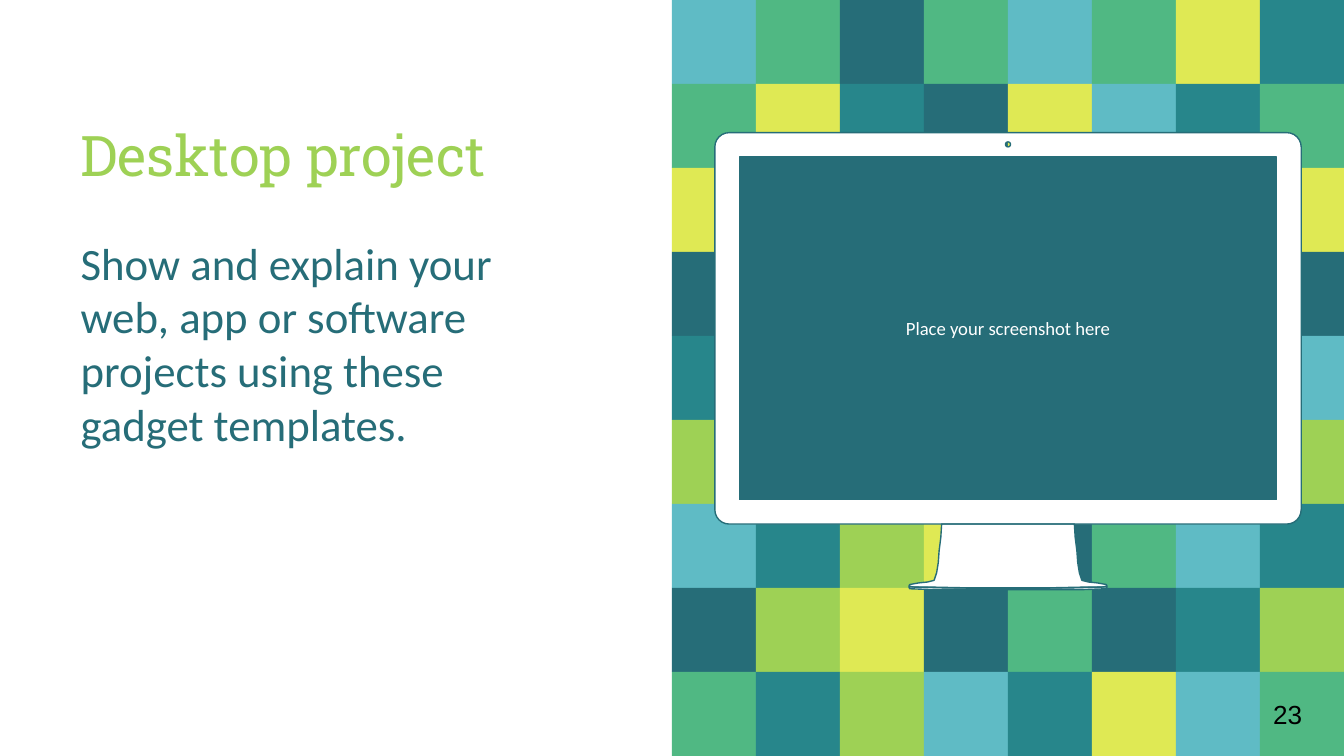
"""Builds a slide with a desktop monitor on a mosaic of coloured tiles."""
from dataclasses import dataclass
from math import cos, pi, sin

from lxml.etree import SubElement
from pptx import Presentation
from pptx.dml.color import RGBColor
from pptx.enum.shapes import MSO_SHAPE as Preset
from pptx.enum.text import MSO_ANCHOR as Anchor
from pptx.enum.text import MSO_AUTO_SIZE as AutoSize
from pptx.enum.text import PP_ALIGN as Align
from pptx.oxml.ns import qn
from pptx.shapes.autoshape import Shape
from pptx.slide import Slide
from pptx.util import Emu, Inches, Pt

Point = tuple[float, float]
COLUMNS, ROWS = 16, 9
CELL = Inches(10) // COLUMNS


@dataclass(frozen=True)
class Theme:
    lime: str = "9ED155"
    dark: str = "266D78"
    yellow: str = "DFE954"
    green: str = "50B883"
    teal: str = "27868B"
    sky: str = "5FBBC5"
    white: str = "FFFFFF"
    black: str = "000000"
    heading: str = "Roboto Slab"
    text: str = "Calibri"
    numeral: str = "Arial"
    title_size: float = 30
    body_size: float = 24
    number_size: float = 14
    caption_size: float = 10
    outline: float = 0.75


@dataclass(frozen=True)
class Area:
    column: float
    row: float
    columns: float = 1
    rows: float = 1

    def box(self) -> tuple[Emu, ...]:
        return tuple(cells(n) for n in (self.column, self.row, self.columns, self.rows))


@dataclass(frozen=True)
class Lettering:
    font: str
    size: float
    color: str
    align: Align = Align.LEFT
    anchor: Anchor = Anchor.TOP


THEME = Theme()
MOSAIC_COLUMN = 8
MOSAIC = (
    "SGDGSGYT",
    "GYTDYSTG",
    "Y......Y",
    "D......D",
    "T......S",
    "LSDLTLGL",
    "STLYDGST",
    "DLYDGDTL",
    "GTLSTYSG",
)
TILE_COLORS = {"L": THEME.lime, "D": THEME.dark, "Y": THEME.yellow,
               "G": THEME.green, "T": THEME.teal, "S": THEME.sky}

TITLE_AREA = Area(0.8, 0.9, 6.2, 1.5)
BODY_AREA = Area(0.8, 2.64, 6.2, 5.71)
SCREEN = Area(8.8, 1.87, 6.4, 4.08)
NUMBER_AREA = Area(15, 8)

MONITOR_AXIS = 12
CASE = Area(8.51, 1.58, 6.98, 4.66)
CORNER_RADIUS = 0.17
CAMERA_ROW, CAMERA_RADIUS = 1.72, 0.03
STAND_EDGE = ((0.79, 6.24), (0.8, 6.4), (0.82, 6.56), (0.83, 6.7), (0.85, 6.82),
              (0.88, 6.91), (0.96, 6.93), (1.06, 6.94), (1.17, 6.96),
              (1.18, 6.98), (1.12, 6.99), (0.75, 7))
FOOT_EDGE = ((0.45, 7), (0.94, 6.99), (1.18, 6.99), (1.17, 7.01), (0.9, 7.02), (0.43, 7.02))


def cells(count: float) -> Emu:
    return Emu(round(count * CELL))


def rgb(color: str) -> RGBColor:
    return RGBColor.from_string(color)


def arc(center: Point, radius: float, start: float, sweep: float, steps: int) -> list[Point]:
    angles = (start + sweep * step / steps for step in range(steps + 1))
    return [(center[0] + radius * cos(a), center[1] + radius * sin(a)) for a in angles]


def rounded(area: Area, radius: float) -> list[Point]:
    left, right = area.column + radius, area.column + area.columns - radius
    top, bottom = area.row + radius, area.row + area.rows - radius
    corners = ((right, bottom), (left, bottom), (left, top), (right, top))
    return [point for turn, corner in enumerate(corners)
            for point in arc(corner, radius, turn * pi / 2, pi / 2, 6)]


def mirrored(edge: tuple[Point, ...]) -> list[Point]:
    right = [(MONITOR_AXIS + offset, row) for offset, row in edge]
    left = [(MONITOR_AXIS - offset, row) for offset, row in reversed(edge)]
    return right + left


def write(shape: Shape, wording: str, style: Lettering) -> None:
    frame = shape.text_frame
    frame.text = wording
    frame.word_wrap = True
    frame.auto_size = AutoSize.NONE
    frame.vertical_anchor = style.anchor
    frame.margin_left = frame.margin_right = Inches(0.1)
    frame.margin_top = frame.margin_bottom = Inches(0.1)
    paragraph = frame.paragraphs[0]
    paragraph.alignment = style.align
    paragraph.space_before = Pt(0)
    paragraph.font.name = style.font
    paragraph.font.size = Pt(style.size)
    paragraph.font.color.rgb = rgb(style.color)


def fill_placeholder(shape: Shape, area: Area, wording: str, style: Lettering) -> None:
    shape.left, shape.top, shape.width, shape.height = area.box()
    write(shape, wording, style)
    properties = shape.text_frame.paragraphs[0]._p.get_or_add_pPr()
    properties.set("marL", "0")
    properties.set("indent", "0")
    SubElement(properties, qn("a:buNone"))


def add_block(slide: Slide, area: Area, color: str) -> Shape:
    block = slide.shapes.add_shape(Preset.RECTANGLE, *area.box())
    block.shadow.inherit = False
    block.fill.solid()
    block.fill.fore_color.rgb = rgb(color)
    block.line.fill.background()
    return block


def add_mosaic(slide: Slide) -> None:
    for row, tiles in enumerate(MOSAIC):
        for column, tile in enumerate(tiles, MOSAIC_COLUMN):
            if tile in TILE_COLORS:
                add_block(slide, Area(column, row), TILE_COLORS[tile])


def add_monitor(slide: Slide) -> None:
    contours = (
        rounded(CASE, CORNER_RADIUS),
        rounded(SCREEN, 0),
        arc((MONITOR_AXIS, CAMERA_ROW), CAMERA_RADIUS, 0, 2 * pi, 16),
        mirrored(STAND_EDGE),
        mirrored(FOOT_EDGE),
    )
    outlines = [[(cells(x), cells(y)) for x, y in contour] for contour in contours]
    builder = slide.shapes.build_freeform(*outlines[0][0])
    for index, (start, *others) in enumerate(outlines):
        if index:
            builder.move_to(*start)
        builder.add_line_segments(others, close=True)
    monitor = builder.convert_to_shape()
    monitor.shadow.inherit = False
    monitor.fill.solid()
    monitor.fill.fore_color.rgb = rgb(THEME.white)
    monitor.line.color.rgb = rgb(THEME.dark)
    monitor.line.width = Pt(THEME.outline)


def main() -> None:
    deck = Presentation()
    deck.slide_width, deck.slide_height = cells(COLUMNS), cells(ROWS)
    slide = deck.slides.add_slide(deck.slide_layouts[1])
    title, body = slide.placeholders
    add_mosaic(slide)
    add_monitor(slide)
    fill_placeholder(title, TITLE_AREA, "Desktop project",
                     Lettering(THEME.heading, THEME.title_size, THEME.lime, anchor=Anchor.BOTTOM))
    fill_placeholder(body, BODY_AREA,
                     "Show and explain your web, app or software projects using these gadget templates.",
                     Lettering(THEME.text, THEME.body_size, THEME.dark))
    write(add_block(slide, SCREEN, THEME.dark), "Place your screenshot here",
          Lettering(THEME.text, THEME.caption_size, THEME.white, Align.CENTER, Anchor.MIDDLE))
    write(slide.shapes.add_textbox(*NUMBER_AREA.box()), "23",
          Lettering(THEME.numeral, THEME.number_size, THEME.black, anchor=Anchor.MIDDLE))
    deck.save("out.pptx")


if __name__ == "__main__":
    main()
